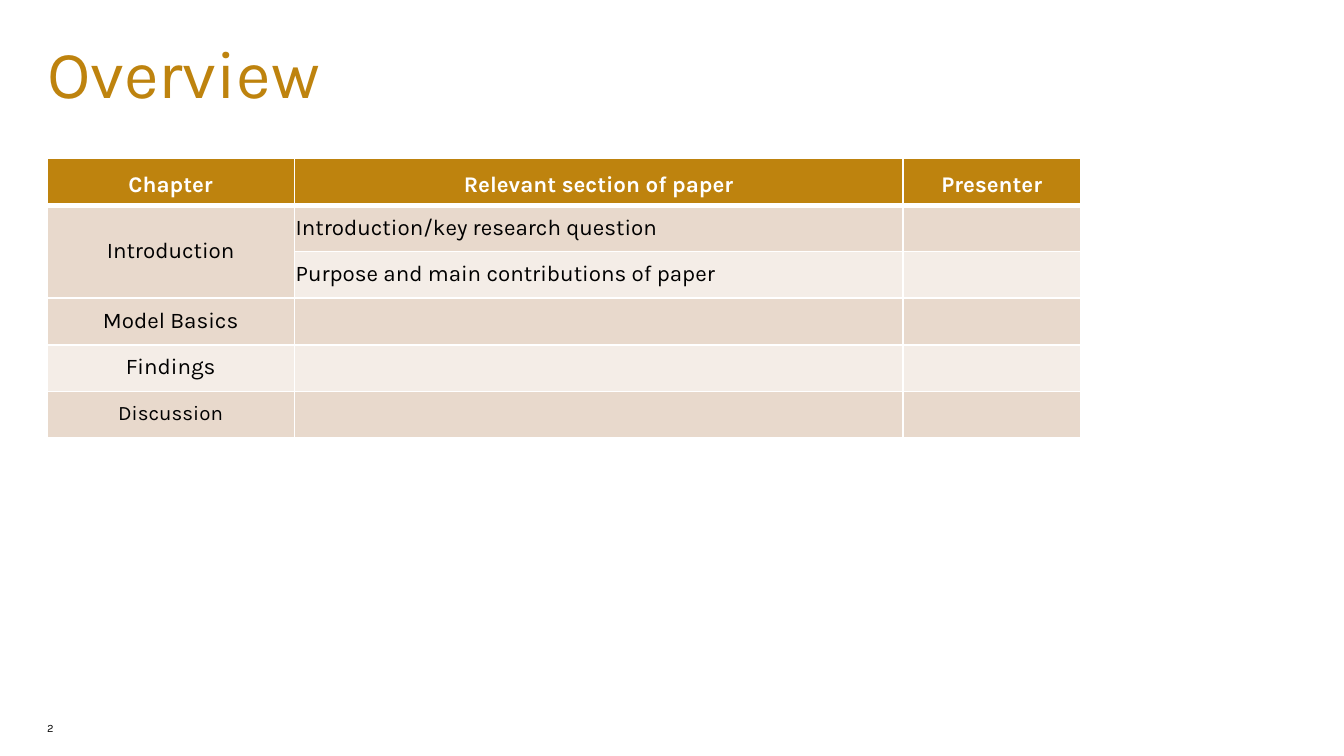
import pptx
import pptx.dml.color
import pptx.enum.text
import pptx.oxml
import pptx.oxml.ns
import pptx.util
from pptx.dml.color import RGBColor

Inches = pptx.util.Inches
Pt = pptx.util.Pt
ALIGN = pptx.enum.text.PP_ALIGN
ANCHOR = pptx.enum.text.MSO_ANCHOR

FONT = "Karla"
GOLD = RGBColor(0xBE, 0x83, 0x0E)
DARK_BAND = RGBColor(0xE8, 0xD9, 0xCC)
LIGHT_BAND = RGBColor(0xF4, 0xED, 0xE7)
WHITE = RGBColor(0xFF, 0xFF, 0xFF)
BLACK = RGBColor(0, 0, 0)

SLIDE_WIDTH = 10
SLIDE_HEIGHT = SLIDE_WIDTH * 9 / 16
LEFT = 0.35
COLUMN_WIDTHS = (1.84, 4.53, 1.32)
TABLE_HEIGHT = 2.08
ROWS = (
    ("Chapter", "Relevant section of paper", "Presenter"),
    ("Introduction", "Introduction/key research question", ""),
    ("", "Purpose and main contributions of paper", ""),
    ("Model Basics", "", ""),
    ("Findings", "", ""),
    ("Discussion", "", ""),
)


def add_run(paragraph, text, size, color, bold=False):
    """Append one formatted run to a paragraph."""
    run = paragraph.add_run()
    run.text = text
    run.font.name = FONT
    run.font.size = Pt(size)
    run.font.bold = bold
    run.font.color.rgb = color


def prepare_frame(frame):
    """Remove the insets of a text frame and anchor it at the top."""
    frame.margin_left = frame.margin_right = 0
    frame.margin_top = frame.margin_bottom = 0
    frame.vertical_anchor = ANCHOR.TOP
    frame.word_wrap = True
    frame.auto_size = pptx.enum.text.MSO_AUTO_SIZE.NONE
    return frame.paragraphs[0]


def add_title(slide, text):
    """Place and fill the title placeholder."""
    title = slide.shapes.title
    title.left, title.top = Inches(LEFT), Inches(0.35)
    title.width, title.height = Inches(2.76), Inches(3.29)
    paragraph = prepare_frame(title.text_frame)
    paragraph.alignment = ALIGN.LEFT
    paragraph.line_spacing = 0.8
    paragraph.space_after = Pt(18)
    add_run(paragraph, text, 36, GOLD)


def add_page_number(slide, text):
    """Add the small page number at the foot."""
    box = slide.shapes.add_textbox(
        Inches(LEFT), Inches(5.37), Inches(0.39), Inches(0.12))
    paragraph = prepare_frame(box.text_frame)
    paragraph.space_after = Pt(6)
    add_run(paragraph, text, 6, BLACK)


def set_borders(cell, top, bottom):
    """Draw white cell borders with the given top and bottom widths."""
    properties = cell._tc.get_or_add_tcPr()
    for side, width in (("L", 1), ("R", 1), ("T", top), ("B", bottom)):
        properties.append(pptx.oxml.parse_xml(
            f'<a:ln{side} {pptx.oxml.ns.nsdecls("a")} w="{Pt(width)}">'
            f'<a:solidFill><a:srgbClr val="{WHITE}"/></a:solidFill>'
            f'</a:ln{side}>'))


def fill_cell(cell, text, row, column):
    """Format one cell by its place in the table and write its text."""
    header = row == 0
    set_borders(cell, 3 if row == 1 else 1, 3 if header else 1)
    cell.fill.solid()
    band = DARK_BAND if row % 2 or (row == 2 and column == 0) else LIGHT_BAND
    cell.fill.fore_color.rgb = GOLD if header else band
    cell.vertical_anchor = ANCHOR.BOTTOM if header else ANCHOR.MIDDLE
    cell.margin_left = cell.margin_right = Inches(0.01)
    cell.margin_top = Inches(0.01 if text else 0)
    cell.margin_bottom = Inches(0.05 if text else 0)
    if text:
        paragraph = cell.text_frame.paragraphs[0]
        centred = header or column == 0
        paragraph.alignment = ALIGN.CENTER if centred else ALIGN.LEFT
        paragraph.line_spacing = 1.15
        size = 11 if row == len(ROWS) - 1 else 12
        add_run(paragraph, text, size, WHITE if header else BLACK, header)


def add_overview_table(slide):
    """Add the table of chapters, sections and presenters."""
    table = slide.shapes.add_table(
        len(ROWS), len(COLUMN_WIDTHS), Inches(LEFT), Inches(1.18),
        Inches(sum(COLUMN_WIDTHS)), Inches(TABLE_HEIGHT)).table
    table.first_row = table.horz_banding = False
    for column, width in zip(table.columns, COLUMN_WIDTHS):
        column.width = Inches(width)
    for row, texts in enumerate(ROWS):
        table.rows[row].height = Inches(TABLE_HEIGHT / len(ROWS))
        for column, text in enumerate(texts):
            fill_cell(table.cell(row, column), text, row, column)
    table.cell(1, 0).merge(table.cell(2, 0))


def main():
    """Build the overview slide and save it."""
    presentation = pptx.Presentation()
    presentation.slide_width = Inches(SLIDE_WIDTH)
    presentation.slide_height = Inches(SLIDE_HEIGHT)
    slide = presentation.slides.add_slide(presentation.slide_layouts[5])
    add_page_number(slide, "2")
    add_title(slide, "Overview")
    add_overview_table(slide)
    presentation.save("out.pptx")


main()
